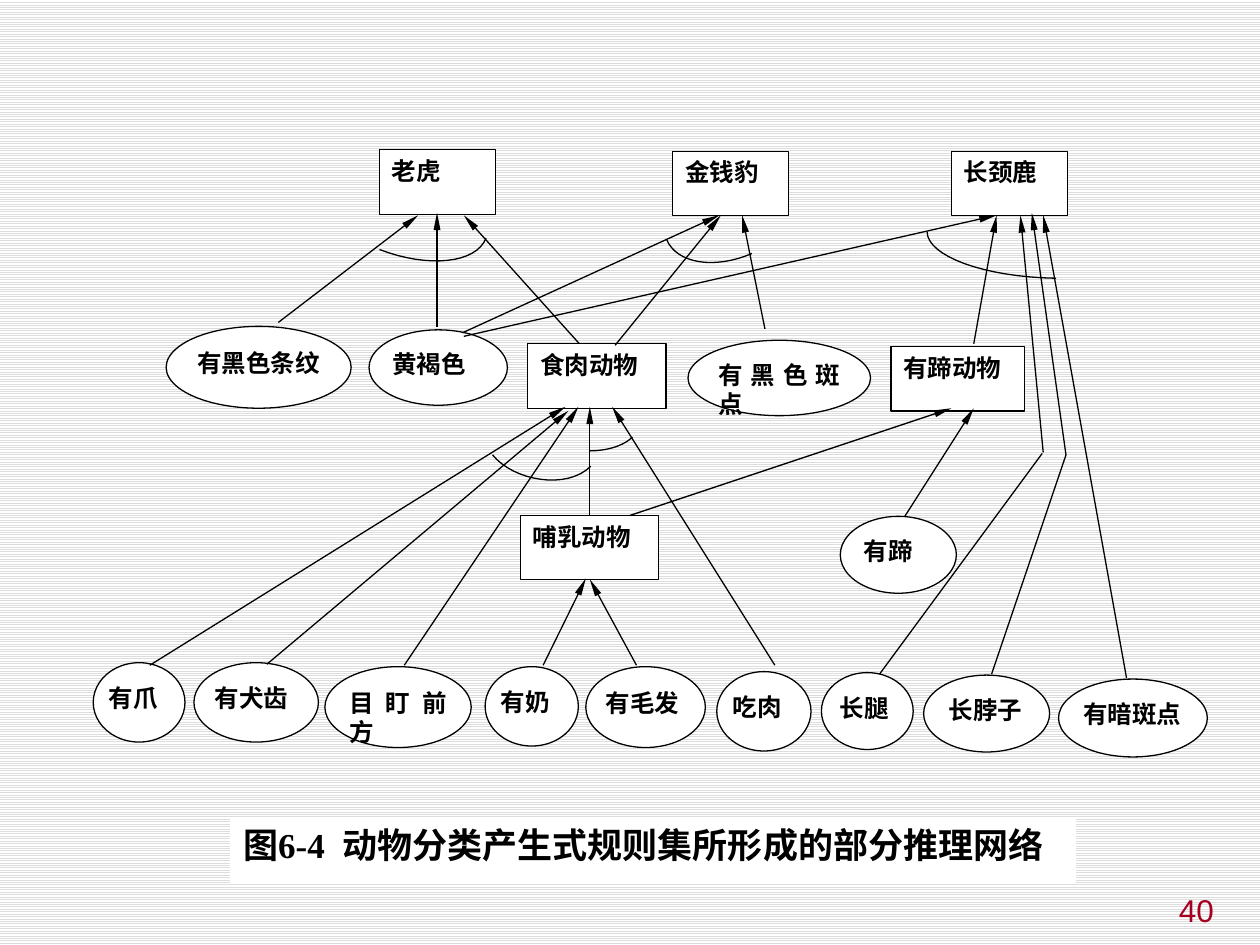
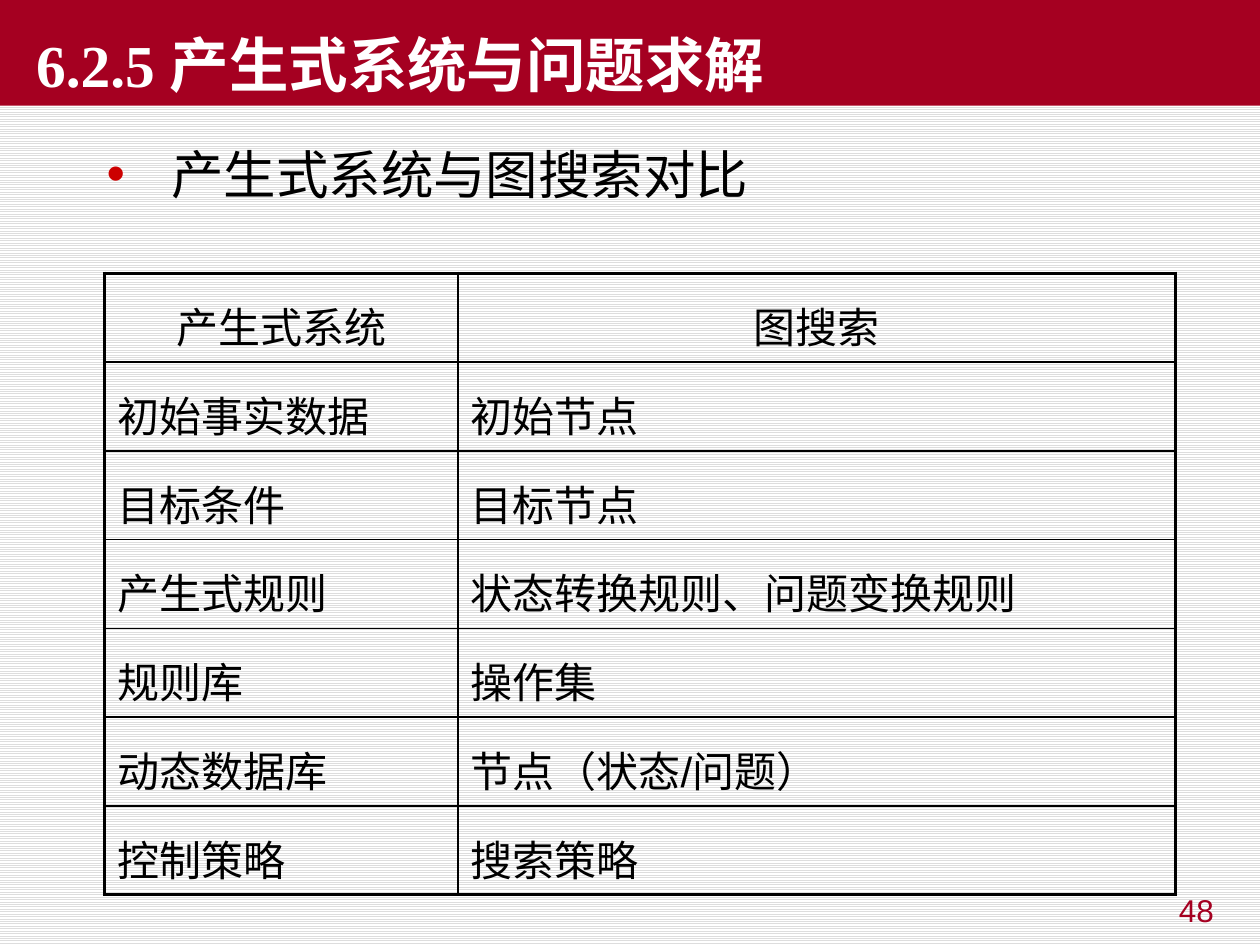
import pptx
import pptx.dml.color
import pptx.enum.dml
import pptx.enum.shapes
import pptx.enum.text
import pptx.oxml
import pptx.oxml.ns
import pptx.util
from pptx.util import Cm

INK, PAPER, CRIMSON, BULLET_RED, STRIPE = "000000", "FFFFFF", "A50021", "CC0000", "DDDDDD"
LEFT = pptx.enum.text.PP_ALIGN.LEFT
CENTER = pptx.enum.text.PP_ALIGN.CENTER
RIGHT = pptx.enum.text.PP_ALIGN.RIGHT
JUSTIFY = pptx.enum.text.PP_ALIGN.JUSTIFY
TOP = pptx.enum.text.MSO_ANCHOR.TOP
BOTTOM = pptx.enum.text.MSO_ANCHOR.BOTTOM
RECTANGLE = pptx.enum.shapes.MSO_SHAPE.RECTANGLE
OVAL = pptx.enum.shapes.MSO_SHAPE.OVAL
STRAIGHT = pptx.enum.shapes.MSO_CONNECTOR.STRAIGHT

NODE_FONT = {"name": "Times New Roman", "size": pptx.util.Pt(14), "bold": True}
CAPTION_FONT = {**NODE_FONT, "size": pptx.util.Pt(20)}
TITLE_FONT = {**NODE_FONT, "size": pptx.util.Pt(34)}
NUMBER_FONT = {"name": "Arial", "size": pptx.util.Pt(18)}
CELL_FONT = {"name": "Arial", "size": pptx.util.Pt(24)}
TOPIC_FONT = {"name": "Arial", "size": pptx.util.Pt(30)}
NO_MARGINS = {f"margin_{side}": 0 for side in ("left", "top", "right", "bottom")}

SLIDE_BOX = (0, 0, 25.4, 19.05)
NUMBER_BOX = (18.8, 17.83, 5.92, 1.32)
CAPTION_BOX = (4.65, 16.48, 17.02, 1.3)
TITLE_BOX = (0, 0, 25.4, 2.13)
TOPIC_BOX = (1.9, 2.74, 21.59, 11.43)
TABLE_BOX = (2.11, 5.51, 21.59, 12.53)

CONCLUSION_HEIGHT = 1.3
CONCLUSIONS = [
    ("老虎", 7.65, 3.02, 2.34),
    ("金钱豹", 13.56, 3.05, 2.34),
    ("长颈鹿", 19.18, 3.05, 2.34),
    ("食肉动物", 10.64, 6.93, 2.79),
    ("哺乳动物", 10.49, 10.39, 2.79),
    ("有蹄动物", 17.96, 6.99, 2.69),
]
WIDE_INSET, INSET = 1 / 5, 1 / 6
FACTS = [
    ("有黑色条纹", 3.35, 6.58, 3.73, 1.65, INSET),
    ("黄褐色", 7.44, 6.65, 2.79, 1.52, INSET),
    ("有黑色斑点", 13.87, 6.86, 3.68, 1.52, INSET),
    ("有蹄", 16.94, 10.41, 2.34, 1.55, WIDE_INSET),
    ("有爪", 1.88, 13.36, 1.85, 1.6, INSET),
    ("有犬齿", 3.91, 13.36, 2.51, 1.6, INSET),
    ("目盯前方", 6.55, 13.44, 2.95, 1.63, INSET),
    ("有奶", 9.78, 13.44, 1.88, 1.6, INSET),
    ("有毛发", 11.81, 13.44, 2.41, 1.63, INSET),
    ("吃肉", 14.45, 13.54, 1.9, 1.6, INSET),
    ("长腿", 16.56, 13.56, 1.85, 1.55, WIDE_INSET),
    ("长脖子", 18.62, 13.61, 2.54, 1.55, WIDE_INSET),
    ("有暗斑点", 21.34, 13.69, 3, 1.57, INSET),
]
ARROWS = [
    (10.95, 13.41, 11.81, 11.66),
    (12.83, 13.41, 11.89, 11.68),
    (15.62, 13.41, 12.34, 8.2),
    (11.89, 10.39, 11.89, 8.2),
    (8.15, 13.41, 11.66, 8.2),
    (5.38, 13.39, 11.46, 8.28),
    (3.02, 13.41, 11.4, 8.2),
    (5.61, 6.5, 8.43, 4.34),
    (8.81, 6.6, 8.81, 4.29),
    (11.68, 6.93, 9.35, 4.34),
    (9.32, 6.71, 14.5, 4.34),
    (12.4, 6.96, 14.53, 4.34),
    (15.42, 6.63, 14.96, 4.34),
    (12.7, 10.39, 19.18, 8.23),
    (18.24, 10.41, 19.63, 8.23),
    (9.35, 6.78, 20.09, 4.34),
    (19.63, 6.93, 20.09, 4.34),
    (22.71, 13.67, 21.03, 4.34),
    (21.03, 9.12, 21.03, 9.12),
    (21.03, 9.12, 20.57, 4.34),
    (21.49, 9.17, 20.8, 4.29),
]
PLAIN_LINKS = [(17.73, 13.59, 21.01, 9.14), (19.99, 13.59, 21.49, 9.17)]
AND_ARCS = [
    ((9.93, 9.17), (10.36, 9.7), (11.43, 9.88), (11.91, 9.4)),
    ((11.89, 9.09), (12.27, 9.09), (12.6, 8.97), (12.75, 8.81)),
    ((7.65, 5.03), (8.64, 5.41), (9.6, 5.31), (9.8, 4.8)),
    ((21.29, 5.61), (19.84, 5.59), (18.69, 5.16), (18.69, 4.67)),
    ((15.16, 5.11), (14.4, 5.44), (13.64, 5.31), (13.44, 4.83)),
]
ARC_STEPS = 16
COMPARISON = [
    ("产生式系统", "图搜索"),
    ("初始事实数据", "初始节点"),
    ("目标条件", "目标节点"),
    ("产生式规则", "状态转换规则、问题变换规则"),
    ("规则库", "操作集"),
    ("动态数据库", "节点（状态/问题）"),
    ("控制策略", "搜索策略"),
]
COLUMN_SHARES = (0.33, 0.67)


def rgb(color):
    """Turn a hex string into a colour."""
    return pptx.dml.color.RGBColor.from_string(color)


def apply(target, formats):
    """Set each format value on the target."""
    for key, value in formats.items():
        setattr(target, key, value)


def lengths(values):
    """Turn centimetre values into lengths."""
    return [Cm(value) for value in values]


def add_xml(parent, tag, **attributes):
    """Append a drawing element and return it."""
    element = parent.makeelement(pptx.oxml.ns.qn(tag), attributes)
    parent.append(element)
    return element


def write(frame, text, font, color=INK, align=LEFT, before=0.2, anchor=TOP, **margins):
    """Write one paragraph, with space before it as a share of its size."""
    apply(frame, {"word_wrap": True, "vertical_anchor": anchor, **margins})
    paragraph = frame.paragraphs[0]
    apply(paragraph, {"alignment": align, "space_before": int(font["size"] * before)})
    run = paragraph.add_run()
    run.text = text
    apply(run.font, font)
    run.font.color.rgb = rgb(color)
    return paragraph


def outline(line, color=INK):
    """Give a line its colour and width."""
    line.color.rgb = rgb(color)
    line.width = pptx.util.Pt(0.75)


def add_panel(slide, kind, box, fill=PAPER, edge=INK):
    """Add a filled and outlined shape."""
    panel = slide.shapes.add_shape(kind, *lengths(box))
    panel.shadow.inherit = False
    panel.fill.solid()
    panel.fill.fore_color.rgb = rgb(fill)
    outline(panel.line, edge)
    return panel


def add_fact(slide, text, x, y, width, height, inset):
    """Add an oval fact with its label inside."""
    add_panel(slide, OVAL, (x, y, width, height))
    label_box = (x + width * inset, y + height * 0.26, width * (1 - 2 * inset), height / 2)
    label = add_panel(slide, RECTANGLE, label_box, edge=PAPER)
    write(label.text_frame, text, NODE_FONT, align=JUSTIFY, **NO_MARGINS)


def add_link(slide, ends, arrow):
    """Add a straight link, with an arrowhead if asked."""
    link = slide.shapes.add_connector(STRAIGHT, *lengths(ends))
    outline(link.line)
    if arrow:
        add_xml(link.line._get_or_add_ln(), "a:tailEnd", type="triangle", w="sm", len="lg")
    add_xml(link._element.spPr, "a:effectLst")


def curve_point(controls, t):
    """Return a point of a cubic curve."""
    weights = ((1 - t) ** 3, 3 * t * (1 - t) ** 2, 3 * t * t * (1 - t), t ** 3)
    return tuple(sum(w * c for w, c in zip(weights, axis)) for axis in zip(*controls))


def add_and_arc(slide, controls):
    """Add the arc that joins the conditions of one rule."""
    points = [lengths(curve_point(controls, step / ARC_STEPS)) for step in range(ARC_STEPS + 1)]
    builder = slide.shapes.build_freeform(*points[0])
    builder.add_line_segments(points[1:], close=False)
    arc = builder.convert_to_shape()
    arc.shadow.inherit = False
    arc.fill.background()
    outline(arc.line)


def add_network(slide, box):
    """Draw the inference network from the corner of its box."""
    left, top = box[:2]
    for text, x, y, width in CONCLUSIONS:
        node = add_panel(slide, RECTANGLE, (left + x, top + y, width, CONCLUSION_HEIGHT))
        write(node.text_frame, text, NODE_FONT, align=JUSTIFY)
    for text, x, y, *shape in FACTS:
        add_fact(slide, text, left + x, top + y, *shape)
    for links, arrow in ((ARROWS, True), (PLAIN_LINKS, False)):
        for x1, y1, x2, y2 in links:
            add_link(slide, (left + x1, top + y1, left + x2, top + y2), arrow)
    for controls in AND_ARCS:
        add_and_arc(slide, [(left + x, top + y) for x, y in controls])


def add_caption(slide, box, text):
    """Add the figure caption on a white strip."""
    caption = add_panel(slide, RECTANGLE, box, edge=PAPER)
    write(caption.text_frame, text, CAPTION_FONT, align=JUSTIFY)


def add_title(slide, box, text):
    """Add the title band."""
    band = add_panel(slide, RECTANGLE, box, fill=CRIMSON)
    band.line.fill.background()
    title = write(band.text_frame, text, TITLE_FONT, PAPER, before=0, anchor=BOTTOM)
    title._p.get_or_add_pPr().set("indent", str(Cm(0.48)))


def add_topic(slide, box, text):
    """Add the bulleted topic."""
    frame = slide.shapes.add_textbox(*lengths(box)).text_frame
    properties = write(frame, text, TOPIC_FONT, before=0.4)._p.get_or_add_pPr()
    apply_indent = {"marL": Cm(1.3), "indent": -Cm(1.3)}
    for key, value in apply_indent.items():
        properties.set(key, str(value))
    add_xml(add_xml(properties, "a:buClr"), "a:srgbClr", val=BULLET_RED)
    add_xml(properties, "a:buFont", typeface="Arial")
    add_xml(properties, "a:buChar", char="•")


def add_borders(cell, outer_sides):
    """Draw thick borders on outer sides and thin ones elsewhere."""
    properties = cell._tc.get_or_add_tcPr()
    for place, side in enumerate("LRTB"):
        width = pptx.util.Pt(2.25 if side in outer_sides else 1)
        border = properties.makeelement(pptx.oxml.ns.qn(f"a:ln{side}"), {"w": str(width)})
        properties.insert(place, border)
        add_xml(add_xml(border, "a:solidFill"), "a:srgbClr", val=INK)


def add_comparison(slide, box, rows):
    """Add the comparison table with equal rows."""
    last = len(rows) - 1
    table = slide.shapes.add_table(len(rows), len(COLUMN_SHARES), *lengths(box)).table
    apply(table, {"first_row": False, "horz_banding": False})
    for column, share in zip(table.columns, COLUMN_SHARES):
        column.width = Cm(box[2] * share)
    for r, texts in enumerate(rows):
        table.rows[r].height = Cm(box[3] / len(rows))
        for c, text in enumerate(texts):
            cell = table.cell(r, c)
            cell.fill.background()
            align = LEFT if r else CENTER
            entry = write(cell.text_frame, text, CELL_FONT, align=align, before=0.4)
            entry.line_spacing = 1.25
            add_borders(cell, "LR"[c] + ("T" if r == 0 else "B" if r == last else ""))


def add_page(deck, number):
    """Add a slide with the striped background and its number."""
    slide = deck.slides.add_slide(deck.slide_layouts[6])
    stripes = slide.background.fill
    stripes.patterned()
    stripes.pattern = pptx.enum.dml.MSO_PATTERN.LIGHT_HORIZONTAL
    stripes.fore_color.rgb = rgb(STRIPE)
    stripes.back_color.rgb = rgb(PAPER)
    frame = slide.shapes.add_textbox(*lengths(NUMBER_BOX)).text_frame
    write(frame, number, NUMBER_FONT, CRIMSON, RIGHT, before=0)
    return slide


def main():
    """Build both slides and save them."""
    deck = pptx.Presentation()
    apply(deck, dict(zip(("slide_width", "slide_height"), lengths(SLIDE_BOX[2:]))))
    network = add_page(deck, "40")
    add_network(network, SLIDE_BOX)
    add_caption(network, CAPTION_BOX, "图6-4  动物分类产生式规则集所形成的部分推理网络")
    comparison = add_page(deck, "48")
    add_comparison(comparison, TABLE_BOX, COMPARISON)
    add_topic(comparison, TOPIC_BOX, "产生式系统与图搜索对比")
    add_title(comparison, TITLE_BOX, "6.2.5 产生式系统与问题求解")
    deck.save("out.pptx")


if __name__ == "__main__":
    main()
